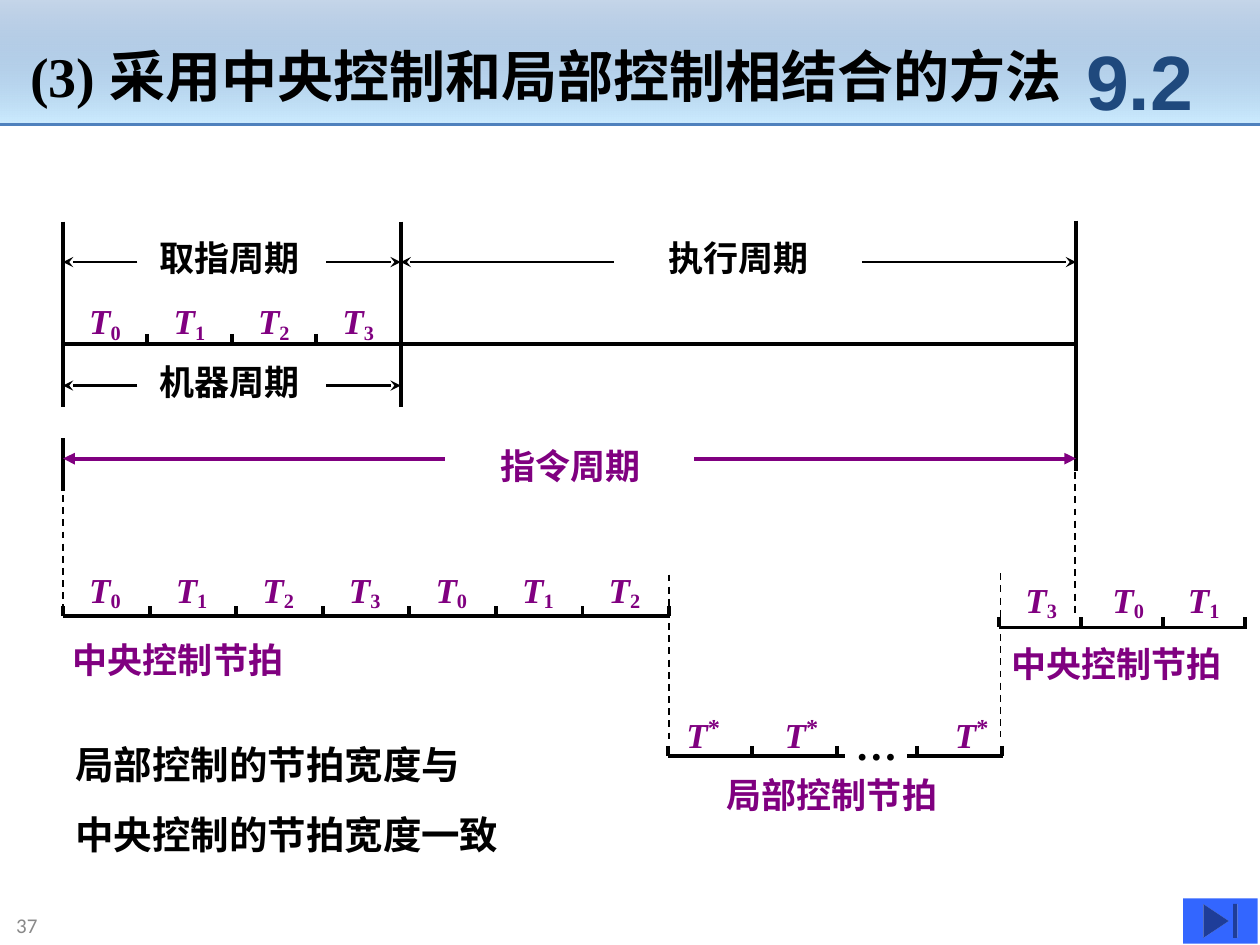
from lxml import etree
from pptx import Presentation
from pptx import util as u
from pptx.dml.color import RGBColor
from pptx.enum import dml, shapes, text
from pptx.oxml.ns import qn

BLACK, PURPLE, NAVY, GREY = "000000", "800080", "1F497D", "898989"
SERIF = "Times New Roman"
TICK = 0.08


def rgb(value):
    return RGBColor.from_string(value)


def apply(target, values):
    for name, value in values.items():
        setattr(target, name, value)


def write(paragraph, content, size=20, color=BLACK, name=SERIF, bold=True,
          italic=False, baseline=0):
    run = paragraph.add_run()
    run.text = content
    apply(run.font, {"size": u.Pt(size), "name": name, "bold": bold, "italic": italic})
    run.font.color.rgb = rgb(color)
    if baseline:
        run._r.get_or_add_rPr().set("baseline", str(baseline))


def place(shape, left, top, width, height):
    apply(shape, {"left": u.Inches(left), "top": u.Inches(top),
                  "width": u.Inches(width), "height": u.Inches(height)})


def frame_format(frame, anchor=text.MSO_ANCHOR.TOP, wrap=False):
    apply(frame, {"word_wrap": wrap, "vertical_anchor": anchor,
                  "auto_size": text.MSO_AUTO_SIZE.NONE,
                  "margin_left": u.Inches(0.1), "margin_right": u.Inches(0.1),
                  "margin_top": u.Inches(0.05), "margin_bottom": u.Inches(0.05)})


def text_box(slide, left, top, width, height, **frame_values):
    box = slide.shapes.add_textbox(*map(u.Inches, (left, top, width, height)))
    frame_format(box.text_frame, **frame_values)
    return box.text_frame.paragraphs[0]


def label(slide, left, top, width, content, color=BLACK):
    write(text_box(slide, left, top, width, 0.44), content, color=color)


def beat(slide, left, top, mark):
    """A T with a subscript number or a superscript star."""
    paragraph = text_box(slide, left, top, 0.46, 0.45)
    write(paragraph, "T", color=PURPLE, italic=True)
    if mark == "*":
        write(paragraph, mark, size=24, color=PURPLE, baseline=30000)
    else:
        write(paragraph, mark, color=PURPLE, baseline=-15000)


def line(slide, x1, y1, x2, y2, width=2.25, color=BLACK, dashed=False, arrow=None):
    connector = slide.shapes.add_connector(
        shapes.MSO_CONNECTOR.STRAIGHT, *map(u.Inches, (x1, y1, x2, y2)))
    connector.line.width = u.Pt(width)
    connector.line.color.rgb = rgb(color)
    if dashed:
        connector.line.dash_style = dml.MSO_LINE.DASH
    properties = connector._element.spPr
    if arrow:
        etree.SubElement(properties.get_or_add_ln(), qn("a:tailEnd"), type=arrow)
    etree.SubElement(properties, qn("a:effectLst"))
    return connector


def timeline(slide, start, end, y, ticks, beats, beat_top):
    line(slide, start, y, end, y)
    for x in ticks:
        line(slide, x, y - TICK, x, y)
    for x, mark in beats:
        beat(slide, x, beat_top, mark)


def span(slide, start, end, y, gap_start, gap_end, width=1.5, color=BLACK,
         arrow="stealth"):
    """Two arrows pointing outwards, with room for a label between them."""
    for inner, outer in ((gap_start, start), (gap_end, end)):
        line(slide, inner, y, outer, y, width, color, arrow=arrow)


def header(slide):
    band = slide.shapes.add_shape(shapes.MSO_SHAPE.RECTANGLE, 0, 0,
                                  u.Inches(10), u.Inches(0.99))
    band.shadow.inherit = False
    band.line.fill.background()
    band.fill.gradient()
    band.fill.gradient_angle = 270
    top_stop, bottom_stop = band.fill.gradient_stops
    top_stop.color.rgb, bottom_stop.color.rgb = rgb("4F81BD"), rgb("CCECFF")
    top_stop.position, bottom_stop.position = 0, 1
    top_color = band._element.spPr.find(".//" + qn("a:srgbClr"))
    etree.SubElement(top_color, qn("a:alpha"), val="32000")
    rule = line(slide, 0, 0.99, 10, 0.99, 1.5, "4F81BD")
    # Keep the band and its rule behind the placeholders
    for part in (rule, band):
        slide.shapes._spTree.insert(2, part._element)

    title = slide.shapes.title
    place(title, 0.14, 0.28, 8.6, 0.64)
    frame_format(title.text_frame)
    heading = title.text_frame.paragraphs[0]
    heading.alignment = text.PP_ALIGN.LEFT
    write(heading, "(3) 采用中央控制和局部控制相结合的方法", size=32)

    section = text_box(slide, 8.42, 0.17, 1.25, 0.92,
                       anchor=text.MSO_ANCHOR.MIDDLE, wrap=True)
    section.alignment = text.PP_ALIGN.CENTER
    write(section, "9.2", size=44, color=NAVY, name="Arial")


def cycles(slide):
    # Fetch, execute and machine cycles
    step = 0.67
    timeline(slide, 0.5, 8.54, 2.73, [0.5 + step * i for i in range(1, 4)],
             [(0.61 + step * i, str(i)) for i in range(4)], 2.33)
    for x, top, bottom in ((0.5, 1.76, 3.23), (3.18, 1.76, 3.23),
                           (8.54, 1.75, 3.74), (0.5, 3.48, 3.9)):
        line(slide, x, top, x, bottom)
    for start, end, y, gap_start, gap_end, left, name in (
            (0.5, 3.18, 2.08, 1.09, 2.59, 1.17, "取指周期"),
            (3.18, 8.54, 2.08, 4.87, 6.84, 5.21, "执行周期"),
            (0.5, 3.18, 3.06, 1.09, 2.59, 1.17, "机器周期")):
        span(slide, start, end, y, gap_start, gap_end)
        label(slide, left, y - 0.25, 1.31, name)
    # Instruction cycle
    span(slide, 0.5, 8.54, 3.64, 3.53, 5.51, 2.25, PURPLE, "triangle")
    label(slide, 3.87, 3.48, 1.31, "指令周期", PURPLE)


def control_beats(slide):
    # Dashed guides between the rows
    for x, top, bottom in ((0.5, 3.64, 4.82), (5.31, 4.56, 5.87),
                           (7.94, 4.55, 5.85), (8.53, 3.65, 4.89)):
        line(slide, x, top, x, bottom, 1, dashed=True)
    # Central control before the local beats
    step = 4.81 / 7
    timeline(slide, 0.5, 5.31, 4.89, [0.5 + step * i for i in range(8)],
             [(0.61 + step * i, str(i % 4)) for i in range(7)], 4.46)
    label(slide, 0.48, 5.02, 1.93, "中央控制节拍", PURPLE)
    # Central control after the local beats
    timeline(slide, 7.93, 9.9, 4.98, [7.93 + 0.65 * i for i in range(4)],
             [(8.04, "3"), (8.73, "0"), (9.33, "1")], 4.54)
    label(slide, 7.93, 5.05, 1.87, "中央控制节拍", PURPLE)
    # Local control, with its middle left out
    timeline(slide, 5.3, 6.71, 6, [5.3, 5.97, 6.64], [(5.35, "*"), (6.13, "*")], 5.56)
    timeline(slide, 7.2, 7.96, 6, [7.28, 7.95], [(7.48, "*")], 5.56)
    write(text_box(slide, 6.69, 5.65, 0.79, 0.5, wrap=True), "…", size=24)
    label(slide, 5.67, 6.09, 1.87, "局部控制节拍", PURPLE)


def conclusion(slide):
    body = slide.placeholders[1]
    place(body, 0.5, 5.83, 5.05, 1.03)
    frame_format(body.text_frame, wrap=True)
    first = body.text_frame.paragraphs[0]
    second = body.text_frame.add_paragraph()
    for paragraph, content, before in ((first, "局部控制的节拍宽度与", 0),
                                       (second, "中央控制的节拍宽度一致", 13.8)):
        paragraph.space_before = u.Pt(before)
        properties = paragraph._p.get_or_add_pPr()
        properties.set("marL", "0")
        properties.set("indent", "0")
        etree.SubElement(properties, qn("a:buNone"))
        write(paragraph, content, size=22)


def footer(slide):
    number = text_box(slide, 0.03, 7.18, 2.21, 0.32,
                      anchor=text.MSO_ANCHOR.MIDDLE, wrap=True)
    write(number, "37", size=12, color=GREY, name="Calibri", bold=False)
    button = slide.shapes.add_shape(shapes.MSO_SHAPE.ACTION_BUTTON_END,
                                    *map(u.Inches, (9.39, 7.13, 0.59, 0.36)))
    button.shadow.inherit = False
    button.fill.solid()
    button.fill.fore_color.rgb = rgb("3366FF")
    button.line.fill.background()


def main():
    deck = Presentation()
    apply(deck, {"slide_width": u.Inches(10), "slide_height": u.Inches(7.5)})
    slide = deck.slides.add_slide(deck.slide_layouts[1])
    header(slide)
    cycles(slide)
    control_beats(slide)
    conclusion(slide)
    footer(slide)
    deck.save("out.pptx")


if __name__ == "__main__":
    main()
